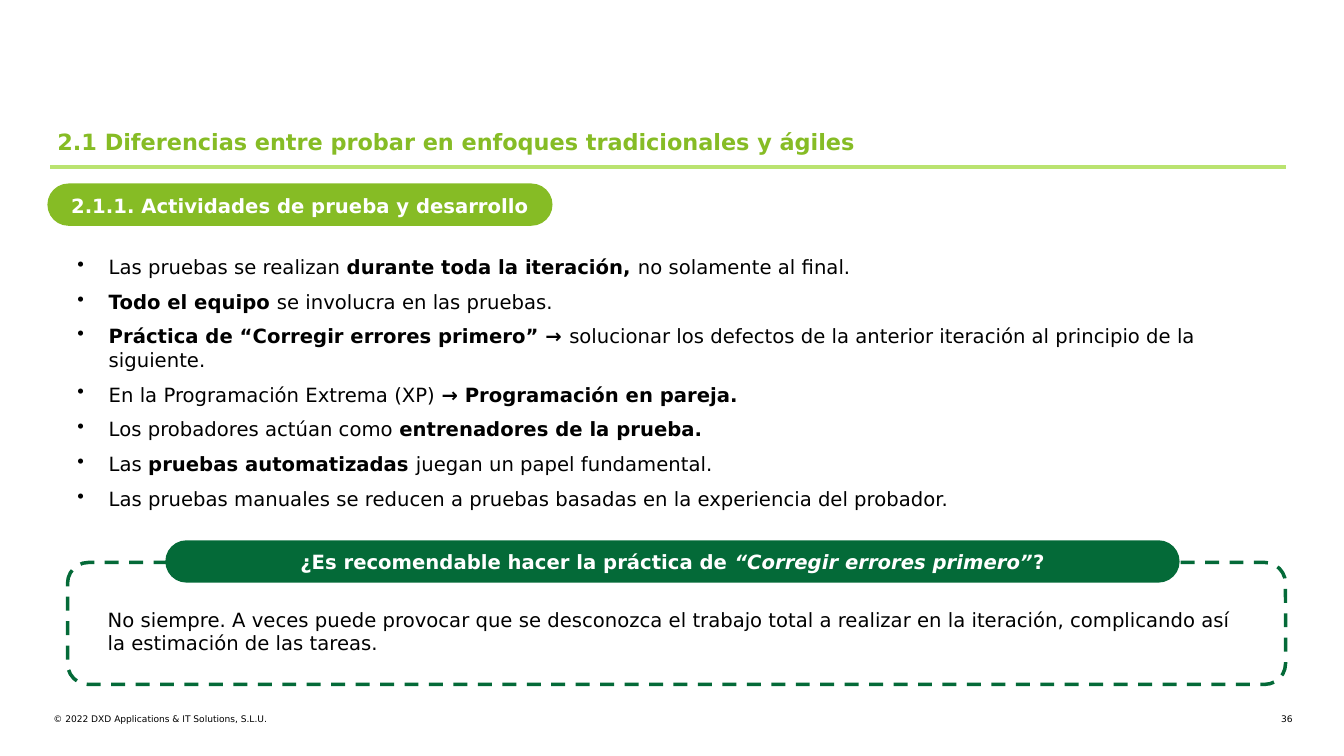
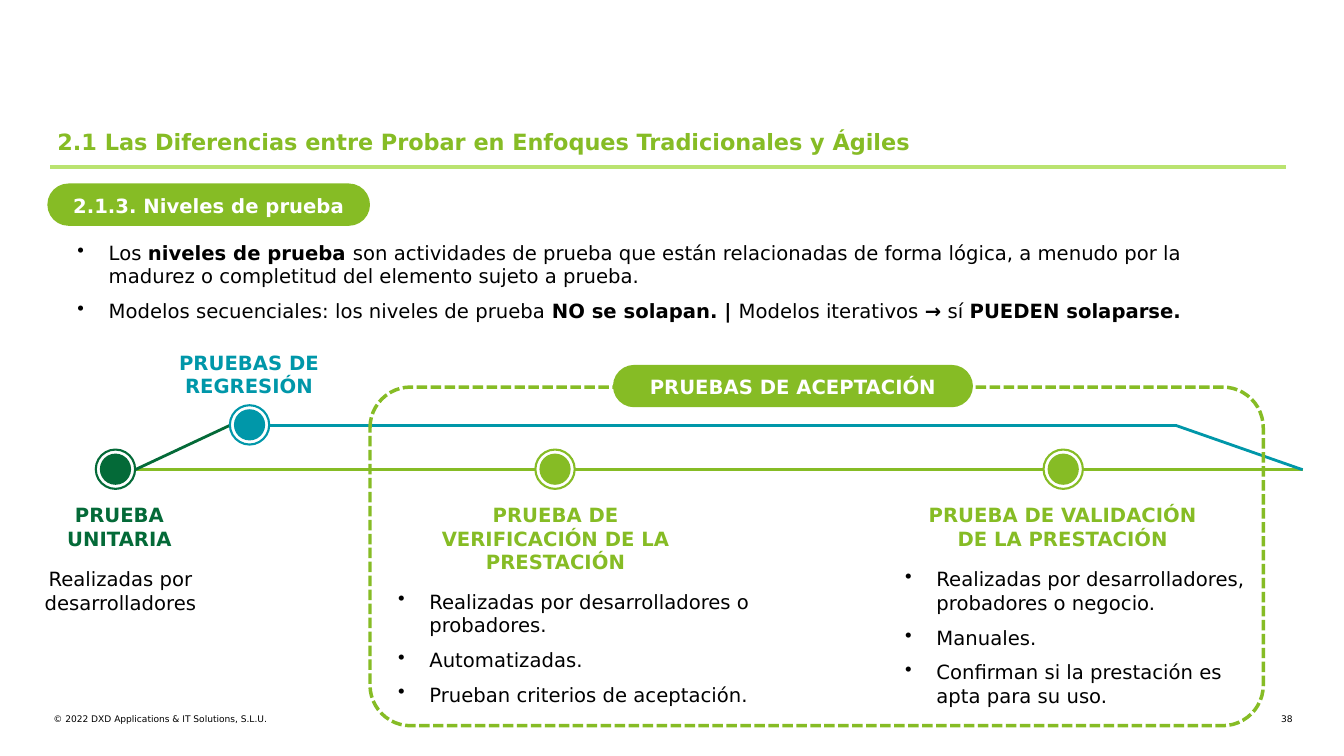
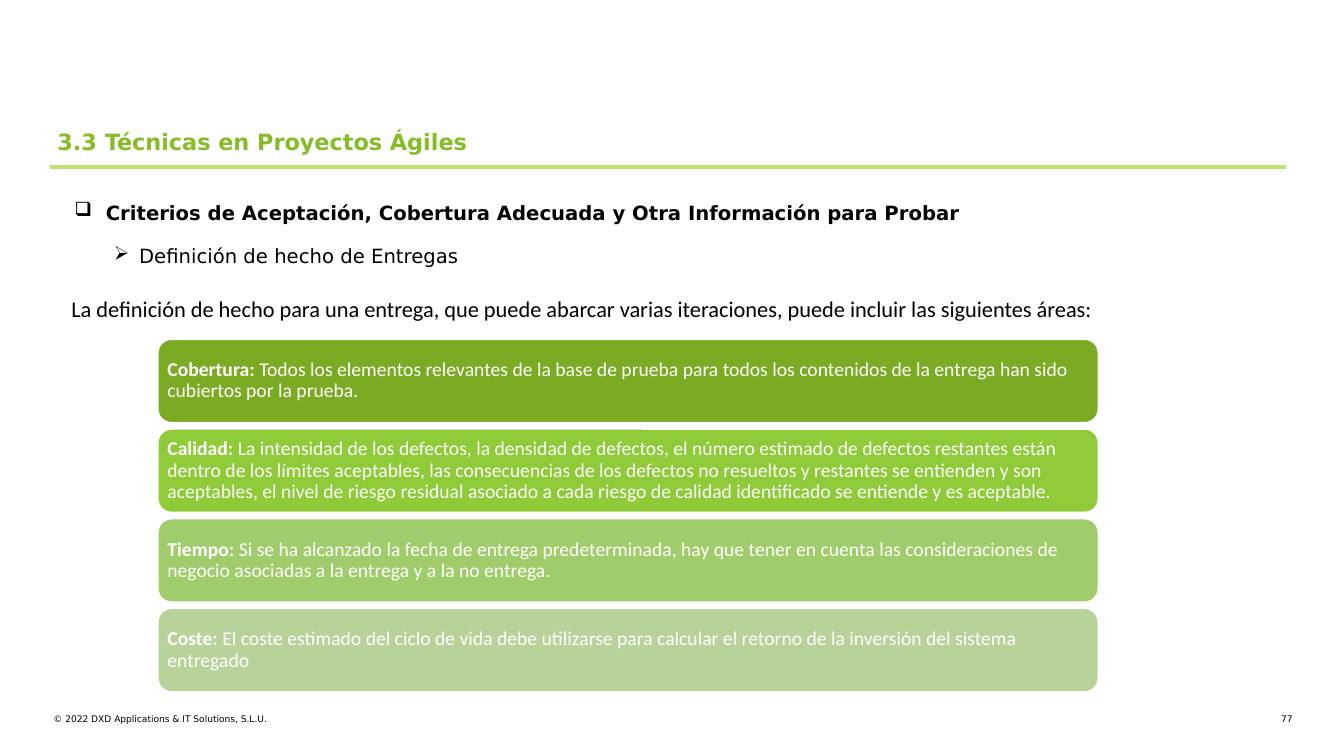
import lxml.etree
import pptx
import pptx.dml.color
import pptx.enum.dml
import pptx.enum.shapes
import pptx.enum.text
import pptx.oxml.ns
import pptx.util

RGBColor = pptx.dml.color.RGBColor
WHITE = RGBColor(0xFF, 0xFF, 0xFF)
BLACK = RGBColor(0x00, 0x00, 0x00)
GREEN = RGBColor(0x86, 0xBC, 0x25)
PALE_GREEN = RGBColor(0xBA, 0xE3, 0x70)
DARK_GREEN = RGBColor(0x04, 0x6A, 0x38)
TEAL = RGBColor(0x00, 0x97, 0xA9)
CARD_GREENS = [
    RGBColor(0x7A, 0xAB, 0x22),
    RGBColor(0x8F, 0xCA, 0x38),
    RGBColor(0xA1, 0xCC, 0x6B),
    RGBColor(0xB7, 0xD3, 0x9A),
]
SHAPES = pptx.enum.shapes.MSO_SHAPE
DASHES = pptx.enum.dml.MSO_LINE
ALIGN = pptx.enum.text.PP_ALIGN
ANCHOR = pptx.enum.text.MSO_ANCHOR


class Deck:
    """Course deck style and the current slide; lengths are px at 100 to the inch, and in text *bold* and _italic_."""

    scale = 9144
    font = "DejaVu Sans"
    card_font = "Calibri"
    footer = "© 2022 DXD Applications & IT Solutions, S.L.U."

    def __init__(self):
        self.presentation = pptx.Presentation()
        self.presentation.slide_width = self.px(1333)
        self.presentation.slide_height = self.px(750)
        self.slide = None

    def px(self, length):
        return pptx.util.Emu(length * self.scale)

    def box(self, *lengths):
        return [self.px(length) for length in lengths]

    def new_slide(self, title, number):
        layout = self.presentation.slide_layouts[5]
        self.slide = self.presentation.slides.add_slide(layout)
        placeholder = self.slide.shapes.title
        placeholder.left, placeholder.top, placeholder.width, placeholder.height = self.box(47, 122, 1228, 37)
        placeholder.text_frame.auto_size = pptx.enum.text.MSO_AUTO_SIZE.NONE
        placeholder.text_frame.vertical_anchor = ANCHOR.TOP
        self.set_text(placeholder.text_frame, [title], size=16, color=GREEN, bold=True)
        self.line(50, 166, 1275, 166, PALE_GREEN, 3)
        self.text(53, 708, 586, 11, [self.footer], inset=0, size=6.5)
        self.text(1248, 708, 34, 11, [str(number)], inset=0, size=6.5, align=ALIGN.RIGHT)

    def set_text(self, text_frame, texts, size=14, color=BLACK, font=None, bold=False,
                 align=ALIGN.LEFT, spacing=1.0, after=8, bullet=None):
        text_frame.word_wrap = True
        for index, text in enumerate(texts):
            paragraph = text_frame.add_paragraph() if index else text_frame.paragraphs[0]
            if bullet:
                self.bullet(paragraph, bullet, 31, 31)
            paragraph.alignment = align
            paragraph.line_spacing = spacing
            paragraph.space_after = pptx.util.Pt(after if index < len(texts) - 1 else 0)
            for bold_index, part in enumerate(text.split("*")):
                for italic_index, piece in enumerate(part.split("_")):
                    if piece:
                        run = paragraph.add_run()
                        run.text = piece
                        run.font.name = font or self.font
                        run.font.size = pptx.util.Pt(size)
                        run.font.color.rgb = color
                        run.font.bold = bold or bold_index % 2 == 1
                        run.font.italic = italic_index % 2 == 1

    def bullet(self, paragraph, character, margin, hanging):
        properties = paragraph._p.get_or_add_pPr()
        properties.set("marL", str(self.px(margin)))
        properties.set("indent", str(-self.px(hanging)))
        lxml.etree.SubElement(properties, pptx.oxml.ns.qn("a:buChar")).set("char", character)

    def set_insets(self, text_frame, inset):
        text_frame.margin_left = text_frame.margin_right = self.px(inset)
        text_frame.margin_top = text_frame.margin_bottom = self.px(inset)

    def text(self, left, top, width, height, texts, inset=None, **style):
        text_box = self.slide.shapes.add_textbox(*self.box(left, top, width, height))
        if inset is not None:
            self.set_insets(text_box.text_frame, inset)
        self.set_text(text_box.text_frame, texts, **style)
        return text_box

    def bullets(self, left, top, width, height, texts):
        self.text(left, top, width, height, texts, bullet="•")

    def label(self, left, top, width, height, text, color):
        self.text(left, top, width, height, [text], color=color, bold=True, align=ALIGN.CENTER)

    def shape(self, kind, left, top, width, height, fill=None, outline=None,
              weight=1.5, dash=None, corner=None):
        shape = self.slide.shapes.add_shape(kind, *self.box(left, top, width, height))
        shape.shadow.inherit = False
        if fill is None:
            shape.fill.background()
        else:
            shape.fill.solid()
            shape.fill.fore_color.rgb = fill
        if outline is None:
            shape.line.fill.background()
        else:
            shape.line.color.rgb = outline
            shape.line.width = pptx.util.Pt(weight)
        if dash is not None:
            shape.line.dash_style = dash
        if corner is not None:
            shape.adjustments[0] = corner
        return shape

    def frame(self, left, top, width, height, color, dash, corner):
        self.shape(SHAPES.ROUNDED_RECTANGLE, left, top, width, height,
                   outline=color, weight=2.5, dash=dash, corner=corner)

    def pill(self, left, top, width, text, fill=GREEN):
        pill = self.shape(SHAPES.ROUNDED_RECTANGLE, left, top, width, 42, fill, corner=0.5)
        self.set_insets(pill.text_frame, 10)
        pill.text_frame.vertical_anchor = ANCHOR.MIDDLE
        self.set_text(pill.text_frame, [text], color=WHITE, bold=True, align=ALIGN.CENTER, spacing=1.06)

    def card(self, left, top, width, height, text, fill):
        card = self.shape(SHAPES.ROUNDED_RECTANGLE, left, top, width, height, fill, WHITE, 2)
        self.set_insets(card.text_frame, 6)
        card.text_frame.vertical_anchor = ANCHOR.MIDDLE
        self.set_text(card.text_frame, [text], color=WHITE, font=self.card_font, spacing=0.9)

    def marker(self, left, top, color):
        self.shape(SHAPES.OVAL, left, top, 39, 39, WHITE, color)
        self.shape(SHAPES.OVAL, left + 4, top + 4, 31, 31, color)

    def line(self, x1, y1, x2, y2, color, weight=2):
        connector = self.slide.shapes.add_connector(
            pptx.enum.shapes.MSO_CONNECTOR.STRAIGHT, *self.box(x1, y1, x2, y2))
        connector.line.color.rgb = color
        connector.line.width = pptx.util.Pt(weight)
        properties = connector._element.spPr
        lxml.etree.SubElement(properties, pptx.oxml.ns.qn("a:effectLst"))


def add_activities(deck):
    deck.new_slide("2.1 Diferencias entre probar en enfoques tradicionales y ágiles", 36)
    deck.pill(47, 182, 501, "2.1.1. Actividades de prueba y desarrollo")
    deck.bullets(67, 248, 1198, 266, [
        "Las pruebas se realizan *durante toda la iteración, *no solamente al final.",
        "*Todo el equipo *se involucra en las pruebas.",
        "*Práctica de “Corregir errores primero” → *solucionar los defectos de la anterior "
        "iteración al principio de la siguiente.",
        "En la Programación Extrema (XP) *→ Programación en pareja.*",
        "Los probadores actúan como *entrenadores de la prueba.*",
        "Las *pruebas automatizadas *juegan un papel fundamental.",
        "Las pruebas manuales se reducen a pruebas basadas en la experiencia del probador.",
    ])
    deck.frame(67, 558, 1208, 121, DARK_GREEN, DASHES.DASH, 0.17)
    deck.pill(164, 536, 1006,
              "¿Es recomendable hacer la práctica de _“Corregir errores primero”_?", DARK_GREEN)
    deck.text(97, 598, 1140, 57, [
        "No siempre. A veces puede provocar que se desconozca el trabajo total a realizar en la "
        "iteración, complicando así la estimación de las tareas.",
    ])


def add_levels(deck):
    deck.new_slide("2.1 Las Diferencias entre Probar en Enfoques Tradicionales y Ágiles", 38)
    deck.pill(47, 182, 320, "2.1.3. Niveles de prueba")
    deck.bullets(67, 234, 1198, 92, [
        "Los *niveles de prueba *son actividades de prueba que están relacionadas de forma "
        "lógica, a menudo por la madurez o completitud del elemento sujeto a prueba.",
        "Modelos secuenciales: los niveles de prueba *NO se solapan. | *Modelos iterativos "
        "*→* sí *PUEDEN solaparse.*",
    ])
    main_y, regression_y, end_x = 466, 422, 1292
    deck.line(134, main_y, end_x, main_y, GREEN)
    deck.line(134, main_y, 228, regression_y, DARK_GREEN)
    deck.line(267, regression_y, 1166, regression_y, TEAL)
    deck.line(1166, regression_y, end_x, main_y, TEAL)
    for left, center_y, color in [
        (95, main_y, DARK_GREEN),
        (228, regression_y, TEAL),
        (531, main_y, GREEN),
        (1035, main_y, GREEN),
    ]:
        deck.marker(left, center_y - 20, color)
    deck.frame(367, 384, 886, 336, GREEN, DASHES.SQUARE_DOT, 0.12)
    deck.pill(608, 362, 357, "PRUEBAS DE ACEPTACIÓN")
    deck.label(156, 343, 182, 57, "PRUEBAS DE REGRESIÓN", TEAL)
    deck.label(50, 494, 137, 57, "PRUEBA UNITARIA", DARK_GREEN)
    deck.label(404, 494, 294, 81, "PRUEBA DE VERIFICACIÓN DE LA PRESTACIÓN", GREEN)
    deck.label(907, 494, 294, 57, "PRUEBA DE VALIDACIÓN DE LA PRESTACIÓN", GREEN)
    deck.text(26, 558, 187, 57, ["Realizadas por desarrolladores"], align=ALIGN.CENTER)
    deck.bullets(385, 580, 375, 127, [
        "Realizadas por desarrolladores o probadores.",
        "Automatizadas.",
        "Prueban criterios de aceptación.",
    ])
    deck.bullets(888, 558, 364, 150, [
        "Realizadas por desarrolladores, probadores o negocio.",
        "Manuales.",
        "Confirman si la prestación es apta para su uso.",
    ])


def add_release_criteria(deck):
    deck.new_slide("3.3 Técnicas en Proyectos Ágiles", 77)
    outline = deck.text(44, 199, 1213, 68, [
        "*Criterios de Aceptación, Cobertura Adecuada y Otra Información para Probar*",
        "Definición de hecho de Entregas",
    ], inset=0, after=14)
    topic, subtopic = outline.text_frame.paragraphs
    deck.bullet(topic, "❑", 61, 31)
    deck.bullet(subtopic, "➢", 94, 25)
    deck.text(61, 286, 1104, 38, [
        "La definición de hecho para una entrega, que puede abarcar varias iteraciones, puede "
        "incluir las siguientes áreas:",
    ], size=16, font=deck.card_font, spacing=1.07)
    areas = [
        "*Cobertura:* Todos los elementos relevantes de la base de prueba para todos los "
        "contenidos de la entrega han sido cubiertos por la prueba.",
        "*Calidad: *La intensidad de los defectos, la densidad de defectos, el número estimado "
        "de defectos restantes están dentro de los límites aceptables, las consecuencias de los "
        "defectos no resueltos y restantes se entienden y son aceptables, el nivel de riesgo "
        "residual asociado a cada riesgo de calidad identificado se entiende y es aceptable.",
        "*Tiempo: *Si se ha alcanzado la fecha de entrega predeterminada, hay que tener en "
        "cuenta las consideraciones de negocio asociadas a la entrega y a la no entrega.",
        "*Coste: *El coste estimado del ciclo de vida debe utilizarse para calcular el retorno "
        "de la inversión del sistema entregado",
    ]
    for row, (area, fill) in enumerate(zip(areas, CARD_GREENS)):
        deck.card(156, 336 + row * 89, 934, 84, area, fill)


def main():
    deck = Deck()
    add_activities(deck)
    add_levels(deck)
    add_release_criteria(deck)
    deck.presentation.save("out.pptx")


if __name__ == "__main__":
    main()
